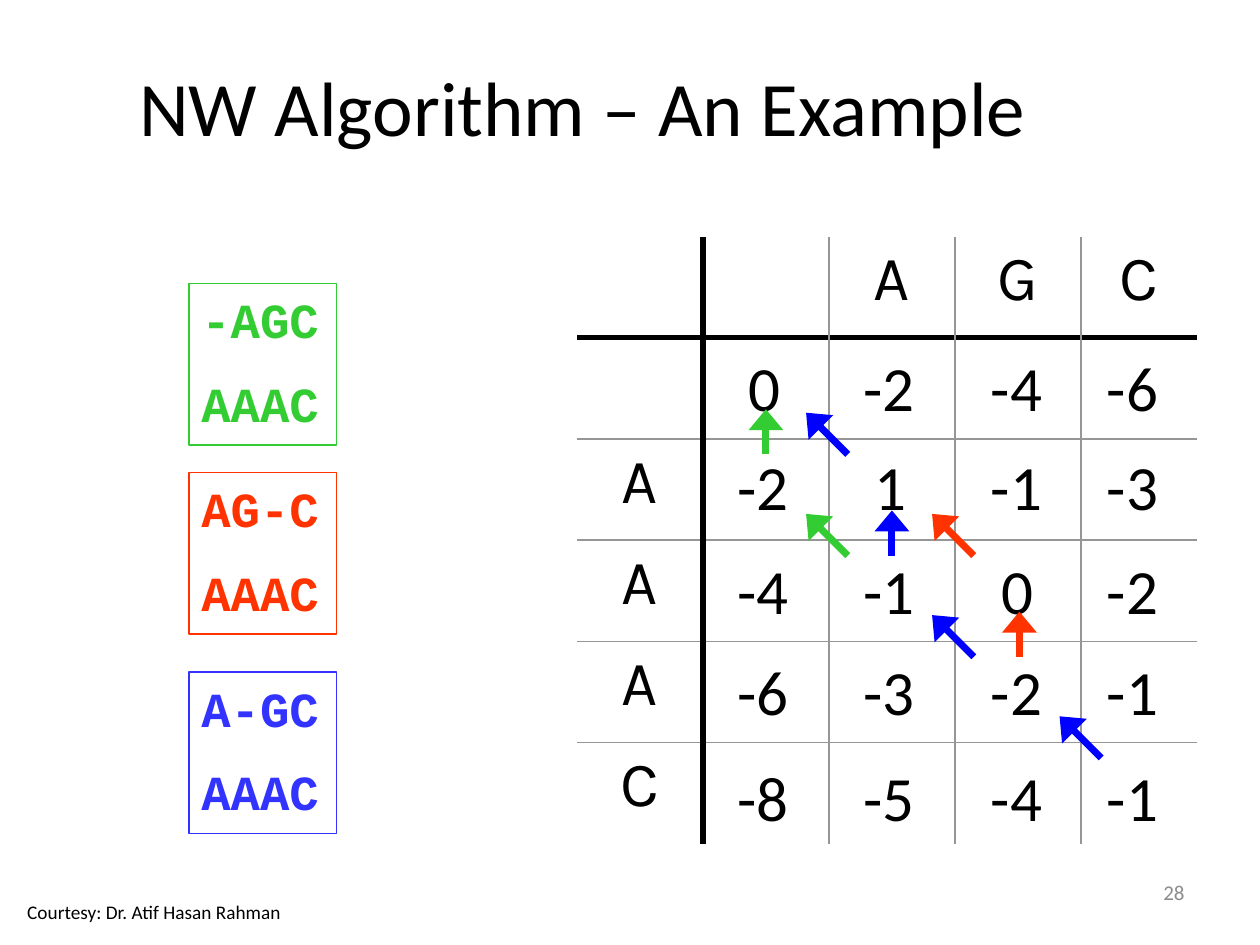
from lxml.etree import SubElement
from pptx import Presentation
from pptx.dml.color import RGBColor
from pptx.enum.shapes import MSO_CONNECTOR, MSO_SHAPE
from pptx.enum.text import MSO_ANCHOR, PP_ALIGN
from pptx.oxml.ns import qn
from pptx.util import Cm, Pt

BLACK, GRAY = "000000", "969696"
GREEN, RED, BLUE = "33CC33", "FF3300", "0000FF"

TITLE = "NW Algorithm – An Example"
COURTESY = "Courtesy: Dr. Atif Hasan Rahman"
PAGE_NUMBER = "28"
COLUMN_LETTERS = ["", "", "A", "G", "C"]
ROW_LETTERS = ["", "", "A", "A", "A", "C"]
SCORES = [
    ["0", "-2", "-4", "-6"],
    ["-2", "1", "-1", "-3"],
    ["-4", "-1", "0", "-2"],
    ["-6", "-3", "-2", "-1"],
    ["-8", "-5", "-4", "-1"],
]
ALIGNMENTS = [
    (5.72, GREEN, ["-AGC", "AAAC"]),
    (9.53, RED, ["AG-C", "AAAC"]),
    (13.55, "3333FF", ["A-GC", "AAAC"]),
]
TRACEBACK = [
    ("diagonal", 3, 2, BLUE),
    ("diagonal", 2, 1, BLUE),
    ("up", 2, 2, RED),
    ("diagonal", 0, 0, BLUE),
    ("up", 0, 0, GREEN),
    ("diagonal", 1, 0, GREEN),
    ("diagonal", 1, 1, RED),
    ("up", 1, 1, BLUE),
]

GRID_LEFT, GRID_TOP = 11.63, 4.77
COLUMN_WIDTHS = [2.54, 2.54, 2.54, 2.54, 2.34]
ROW_HEIGHT = 2.04
GRID_RIGHT = GRID_LEFT + sum(COLUMN_WIDTHS)
GRID_BOTTOM = GRID_TOP + ROW_HEIGHT * len(ROW_LETTERS)
COLUMN_EDGES = [GRID_LEFT + sum(COLUMN_WIDTHS[:i]) for i in range(1, 5)]
ROW_EDGES = [GRID_TOP + ROW_HEIGHT * i for i in range(1, 6)]
SCORE_CENTERS = [15.44, 17.98, 20.55, 22.89]
SCORE_TOPS = [6.91, 8.89, 11, 13.03, 15.16]


def rgb(color):
    return RGBColor.from_string(color)


def style(paragraph, size, font, color=BLACK, align=PP_ALIGN.LEFT, bold=False, before=0):
    paragraph.alignment = align
    if before:
        spacing = SubElement(paragraph._p.get_or_add_pPr(), qn("a:spcBef"))
        SubElement(spacing, qn("a:spcPct")).set("val", str(before * 1000))
    for run in paragraph.runs:
        run.font.size = Pt(size)
        run.font.name = font
        run.font.bold = bold
        run.font.color.rgb = rgb(color)


def add_text(slide, text, left, top, width, height, size, color=BLACK,
             align=PP_ALIGN.LEFT, anchor=MSO_ANCHOR.TOP, wrap=True):
    frame = slide.shapes.add_textbox(Cm(left), Cm(top), Cm(width), Cm(height)).text_frame
    frame.word_wrap = wrap
    frame.vertical_anchor = anchor
    frame.text = text
    style(frame.paragraphs[0], size, "Calibri", color, align)


def add_line(slide, x1, y1, x2, y2, color, width, arrow=False):
    line = slide.shapes.add_connector(MSO_CONNECTOR.STRAIGHT, Cm(x1), Cm(y1), Cm(x2), Cm(y2))
    line.line.color.rgb = rgb(color)
    line.line.width = Pt(width)
    if arrow:
        head = SubElement(line.line._get_or_add_ln(), qn("a:tailEnd"))
        head.set("type", "triangle")
        head.set("w", "lg")
        head.set("len", "med")
    SubElement(line._element.spPr, qn("a:effectLst"))


def add_letters(slide):
    table = slide.shapes.add_table(
        len(ROW_LETTERS), len(COLUMN_LETTERS), Cm(GRID_LEFT), Cm(GRID_TOP),
        Cm(GRID_RIGHT - GRID_LEFT), Cm(GRID_BOTTOM - GRID_TOP)).table
    table.first_row = False
    table.horz_banding = False
    for column, width in zip(table.columns, COLUMN_WIDTHS):
        column.width = Cm(width)
    for r, row_letter in enumerate(ROW_LETTERS):
        table.rows[r].height = Cm(ROW_HEIGHT)
        for c, column_letter in enumerate(COLUMN_LETTERS):
            cell = table.cell(r, c)
            cell.fill.background()
            letter = column_letter if r == 0 else row_letter if c == 0 else ""
            if letter:
                cell.text_frame.text = letter
                style(cell.text_frame.paragraphs[0], 36, "Karla",
                      align=PP_ALIGN.CENTER, before=20)


def add_grid_lines(slide):
    for i, y in enumerate(ROW_EDGES):
        color, width = (GRAY, 1) if i else (BLACK, 3)
        add_line(slide, GRID_RIGHT, y, GRID_LEFT, y, color, width)
    for i, x in enumerate(COLUMN_EDGES):
        color, width = (GRAY, 1) if i else (BLACK, 3)
        add_line(slide, x, GRID_BOTTOM, x, GRID_TOP, color, width)


def add_scores(slide):
    for top, scores in zip(SCORE_TOPS, SCORES):
        for center, score in zip(SCORE_CENTERS, scores):
            width = 1.65 if score.startswith("-") else 1.22
            add_text(slide, score, center - width / 2, top, width, 1.78, 36, wrap=False)


def add_alignment(slide, top, color, sequences):
    box = slide.shapes.add_shape(MSO_SHAPE.RECTANGLE, Cm(3.81), Cm(top), Cm(2.97), Cm(3.25))
    box.shadow.inherit = False
    box.fill.background()
    box.line.color.rgb = rgb(color)
    box.line.width = Pt(0.75)
    frame = box.text_frame
    frame.word_wrap = True
    frame.vertical_anchor = MSO_ANCHOR.TOP
    frame.text = "\n".join(sequences)
    for paragraph in frame.paragraphs:
        style(paragraph, 28, "Courier New", color, bold=True, before=50)


def add_step(slide, direction, row, column, color):
    center = SCORE_CENTERS[column]
    start = ROW_EDGES[row + 1] + 0.31
    if direction == "up":
        add_line(slide, center, start, center, start - 0.91, color, 4, arrow=True)
    else:
        add_line(slide, center + 1.65, start, center + 0.81, start - 0.84, color, 4, arrow=True)


def main():
    deck = Presentation()
    deck.slide_width, deck.slide_height = Cm(25.4), Cm(19.05)
    slide = deck.slides.add_slide(deck.slide_layouts[6])
    add_text(slide, PAGE_NUMBER, 18.21, 17.35, 5.92, 1.27, 12, "8C8C8C",
             PP_ALIGN.RIGHT, MSO_ANCHOR.MIDDLE)
    add_text(slide, TITLE, 1.27, 0.33, 20.96, 3.61, 44,
             align=PP_ALIGN.CENTER, anchor=MSO_ANCHOR.MIDDLE)
    add_letters(slide)
    add_grid_lines(slide)
    add_scores(slide)
    for alignment in ALIGNMENTS:
        add_alignment(slide, *alignment)
    for step in TRACEBACK:
        add_step(slide, *step)
    add_text(slide, COURTESY, 0.3, 18.03, 10.49, 0.74, 11)
    deck.save("out.pptx")


if __name__ == "__main__":
    main()
